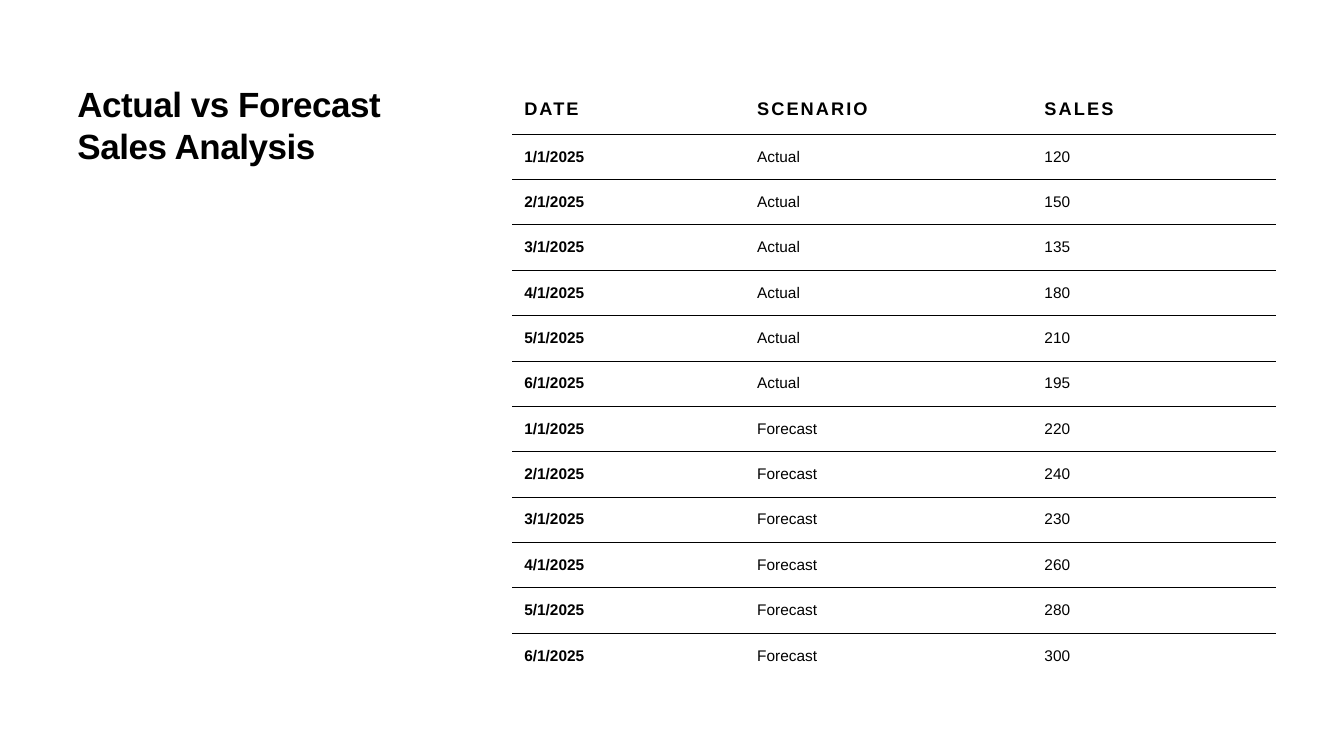
from pptx import Presentation
from pptx.dml.color import RGBColor
from pptx.enum.text import MSO_ANCHOR
from pptx.oxml.ns import qn
from pptx.util import Inches, Pt
from lxml import etree

MIDDLE = MSO_ANCHOR.MIDDLE
TOP = MSO_ANCHOR.TOP
BLACK = RGBColor(0x00, 0x00, 0x00)
WHITE = RGBColor(0xFF, 0xFF, 0xFF)
FONT = "Arial"
PLAIN_TABLE_STYLE = "{2D5ABB26-0587-4C30-8999-92F81FD0307C}"

HEADERS = ["DATE", "SCENARIO", "SALES"]
SALES = {
    "Actual": [120, 150, 135, 180, 210, 195],
    "Forecast": [220, 240, 230, 260, 280, 300],
}
COLUMN_WIDTHS = [2.31, 2.85, 2.42]
HEADER_HEIGHT = 0.49
ROW_HEIGHT = 0.45
CELL_MARGIN = Inches(0.12)


def write_text(tf, text, size=11, bold=False, color=BLACK, spacing=0):
    """Put one formatted run in a text frame; spacing is in points."""
    r = tf.paragraphs[0].add_run()
    r.text = text
    r.font.name = FONT
    r.font.size = Pt(size)
    r.font.bold = bold
    r.font.color.rgb = color
    if spacing:
        r.font._element.set("spc", str(round(spacing * 100)))


def add_title(s, text):
    sp = s.shapes.add_textbox(Inches(0.67), Inches(0.77), Inches(3.66), Inches(2.98))
    tf = sp.text_frame
    tf.word_wrap = True
    tf.vertical_anchor = TOP
    write_text(tf, text, size=25, bold=True, spacing=-0.3)


def add_border(cell, side, color=BLACK, width=0.5):
    """Draw one cell edge: lnT for the top, lnB for the bottom."""
    tc_pr = cell._tc.get_or_add_tcPr()
    ln = etree.SubElement(tc_pr, qn("a:" + side), w=str(Pt(width)))
    fill = etree.SubElement(ln, qn("a:solidFill"))
    etree.SubElement(fill, qn("a:srgbClr"), val=str(color))


def format_cell(cell, first, last):
    cell.margin_left = cell.margin_right = CELL_MARGIN
    cell.margin_top = cell.margin_bottom = CELL_MARGIN
    cell.vertical_anchor = MIDDLE
    # Rules run between rows only
    if not first:
        add_border(cell, "lnT")
    if not last:
        add_border(cell, "lnB")
    cell.fill.background()


def add_sales_table(s, rows):
    height = HEADER_HEIGHT + ROW_HEIGHT * (len(rows) - 1)
    frame = s.shapes.add_table(len(rows), len(HEADERS), Inches(5.08), Inches(0.84),
                               Inches(sum(COLUMN_WIDTHS)), Inches(height))
    table = frame.table
    table.horz_banding = False
    table._tbl.tblPr.find(qn("a:tableStyleId")).text = PLAIN_TABLE_STYLE

    for column, width in zip(table.columns, COLUMN_WIDTHS):
        column.width = Inches(width)
    for i, values in enumerate(rows):
        header = i == 0
        table.rows[i].height = Inches(HEADER_HEIGHT if header else ROW_HEIGHT)
        for j, value in enumerate(values):
            cell = table.cell(i, j)
            format_cell(cell, first=header, last=i == len(rows) - 1)
            write_text(cell.text_frame, str(value), size=13 if header else 11,
                       bold=header or j == 0, spacing=1.5 if header else 0)


def main():
    prs = Presentation()
    prs.slide_width = Inches(13.33)
    prs.slide_height = Inches(7.5)
    s = prs.slides.add_slide(prs.slide_layouts[6])
    s.background.fill.solid()
    s.background.fill.fore_color.rgb = WHITE

    # Title on the left
    add_title(s, "Actual vs Forecast Sales Analysis")

    # Monthly sales on the right
    rows = [HEADERS]
    for scenario, amounts in SALES.items():
        for month, amount in enumerate(amounts, start=1):
            rows.append([f"{month}/1/2025", scenario, amount])
    add_sales_table(s, rows)

    prs.save("out.pptx")


if __name__ == "__main__":
    main()
